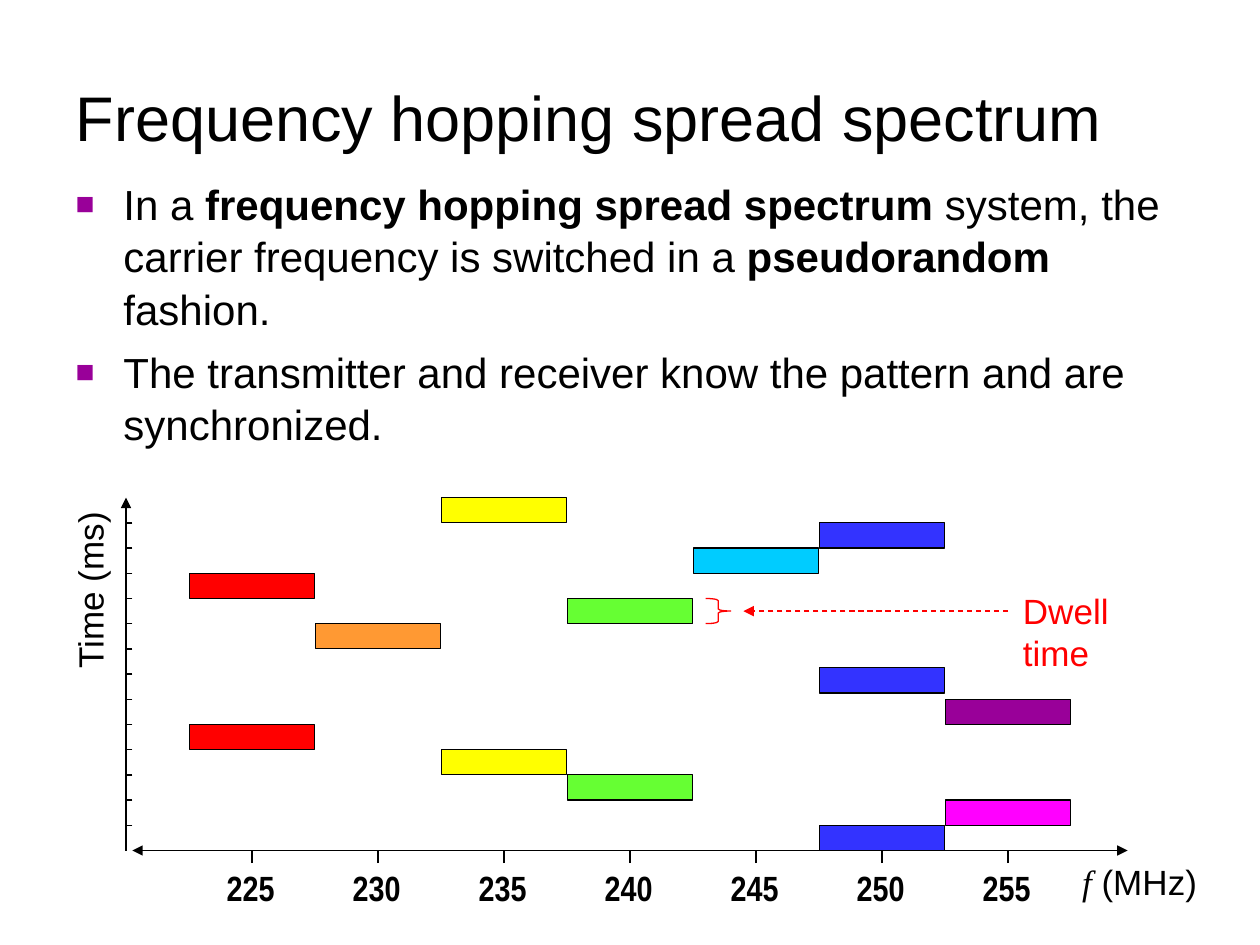
import pptx
import pptx.util
import pptx.dml.color
import pptx.enum.dml
import pptx.enum.shapes
import pptx.enum.text
import pptx.oxml
import pptx.oxml.ns
import lxml.etree

Inches, Pt = pptx.util.Inches, pptx.util.Pt
SHAPE = pptx.enum.shapes.MSO_SHAPE
BLACK, RED, PURPLE = "000000", "FF0000", "990099"

TITLE = "Frequency hopping spread spectrum"
BULLETS = [
    [("In a ", False), ("frequency hopping spread spectrum", True),
     (" system, the carrier frequency is switched in a ", False),
     ("pseudorandom", True), (" fashion.", False)],
    [("The transmitter and receiver know the pattern and are synchronized.", False)],
]
FREQUENCIES = [225, 230, 235, 240, 245, 250, 255]
HOPS = [
    (250, 1, "3333FF"), (255, 2, "FF00FF"), (240, 3, "66FF33"),
    (235, 4, "FFFF00"), (225, 5, RED), (255, 6, PURPLE),
    (250, 7.25, "3333FF"), (230, 9, "FF9933"), (240, 10, "66FF33"),
    (225, 11, RED), (245, 12, "00CCFF"), (250, 13, "3333FF"),
    (235, 14, "FFFF00"),
]
AXIS_X, AXIS_Y, SLOT, HOP_W = 1, 6.75, 0.2, 0.99


def color(value):
    return pptx.dml.color.RGBColor.from_string(value)


def freq_x(freq):
    return 2 + (freq - 225) / 5


def slot_y(slot):
    return AXIS_Y - SLOT * slot


def place(s, x, y, w, h):
    s.left, s.top, s.width, s.height = (Inches(v) for v in (x, y, w, h))


def add_run(p, text, size, font="Arial", ink=BLACK, bold=False, italic=False):
    r = p.add_run()
    r.text = text
    r.font.name, r.font.size = font, Pt(size)
    r.font.bold, r.font.italic = bold, italic
    r.font.color.rgb = color(ink)


def add_label(sp, x, y, w, runs, rotation=0):
    s = sp.add_textbox(Inches(x), Inches(y), Inches(w), Inches(0.44))
    s.rotation = rotation
    s.text_frame.word_wrap = False
    for text, style in runs:
        add_run(s.text_frame.paragraphs[0], text, 20, **style)


def add_line(sp, x1, y1, x2, y2, ink=BLACK, ends=(), dash=None):
    s = sp.add_connector(pptx.enum.shapes.MSO_CONNECTOR.STRAIGHT,
                         Inches(x1), Inches(y1), Inches(x2), Inches(y2))
    s.line.color.rgb = color(ink)
    s.line.width = Pt(0.75)
    if dash:
        s.line.dash_style = dash
    ln = s.line._get_or_add_ln()
    for end in ends:
        lxml.etree.SubElement(ln, pptx.oxml.ns.qn("a:" + end), type="triangle")
    lxml.etree.SubElement(s._element.spPr, pptx.oxml.ns.qn("a:effectLst"))


def add_outline(sp, kind, x, y, w, h, ink=BLACK, fill=None):
    s = sp.add_shape(kind, Inches(x), Inches(y), Inches(w), Inches(h))
    s.shadow.inherit = False
    s.line.color.rgb = color(ink)
    s.line.width = Pt(0.75)
    if fill:
        s.fill.solid()
        s.fill.fore_color.rgb = color(fill)
    else:
        s.fill.background()


def add_bullet(p):
    pPr = p._p.get_or_add_pPr()
    pPr.set("marL", str(Inches(0.38)))
    pPr.set("indent", str(-Inches(0.38)))
    ns = pptx.oxml.ns.nsdecls("a")
    for xml in (f'<a:buClr {ns}><a:srgbClr val="{PURPLE}"/></a:buClr>',
                f'<a:buSzPct {ns} val="75000"/>',
                f'<a:buFont {ns} typeface="Arial"/>',
                f'<a:buChar {ns} char="■"/>'):
        pPr.append(pptx.oxml.parse_xml(xml))


def add_text(slide):
    title, body = slide.placeholders
    place(title, 0.5, 0.5, 9.3, 0.85)
    place(body, 0.5, 1.35, 9, 5.7)
    for s in (title, body):
        s.text_frame.auto_size = pptx.enum.text.MSO_AUTO_SIZE.NONE
        s.text_frame.word_wrap = True
    p = title.text_frame.paragraphs[0]
    p.alignment = pptx.enum.text.PP_ALIGN.LEFT
    add_run(p, TITLE, 36)
    tf = body.text_frame
    for i, runs in enumerate(BULLETS):
        p = tf.add_paragraph() if i else tf.paragraphs[0]
        add_bullet(p)
        p.line_spacing = 1.04
        p.space_before = Pt(6 if i else 0)
        for text, bold in runs:
            add_run(p, text, 24, bold=bold)


def add_diagram(sp):
    add_label(sp, 8.02, 4.63, 1.48, [("Dwell time", {"ink": RED})])
    add_outline(sp, SHAPE.RIGHT_BRACE, 5.6, slot_y(10), 0.2, SLOT, RED)
    add_line(sp, 8, slot_y(9.5), 5.9, slot_y(9.5), RED, ["tailEnd"],
             pptx.enum.dml.MSO_LINE.DASH)
    add_line(sp, 1.05, AXIS_Y, 8.95, AXIS_Y, ends=["headEnd", "tailEnd"])
    for freq in FREQUENCIES:
        x = freq_x(freq)
        add_line(sp, x, AXIS_Y + 0.1, x, AXIS_Y)
        add_label(sp, x - 0.3, 6.83, 0.58,
                  [(str(freq), {"font": "Arial Narrow", "bold": True})])
    add_label(sp, 8.49, 6.78, 1.11,
              [("f", {"font": "Times New Roman", "italic": True}), (" (MHz)", {})])
    add_line(sp, AXIS_X, AXIS_Y, AXIS_X, slot_y(14), ends=["tailEnd"])
    add_label(sp, -0.01, 4.46, 1.45, [("Time (ms)", {})], 270)
    for slot in range(1, 14):
        add_line(sp, AXIS_X + 0.05, slot_y(slot), AXIS_X, slot_y(slot))
    for freq, slot, fill in HOPS:
        add_outline(sp, SHAPE.RECTANGLE, freq_x(freq) - HOP_W / 2, slot_y(slot),
                    HOP_W, SLOT, fill=fill)


def main():
    prs = pptx.Presentation()
    prs.slide_width, prs.slide_height = Inches(10), Inches(7.5)
    slide = prs.slides.add_slide(prs.slide_layouts[1])
    add_text(slide)
    add_diagram(slide.shapes)
    prs.save("out.pptx")


if __name__ == "__main__":
    main()
